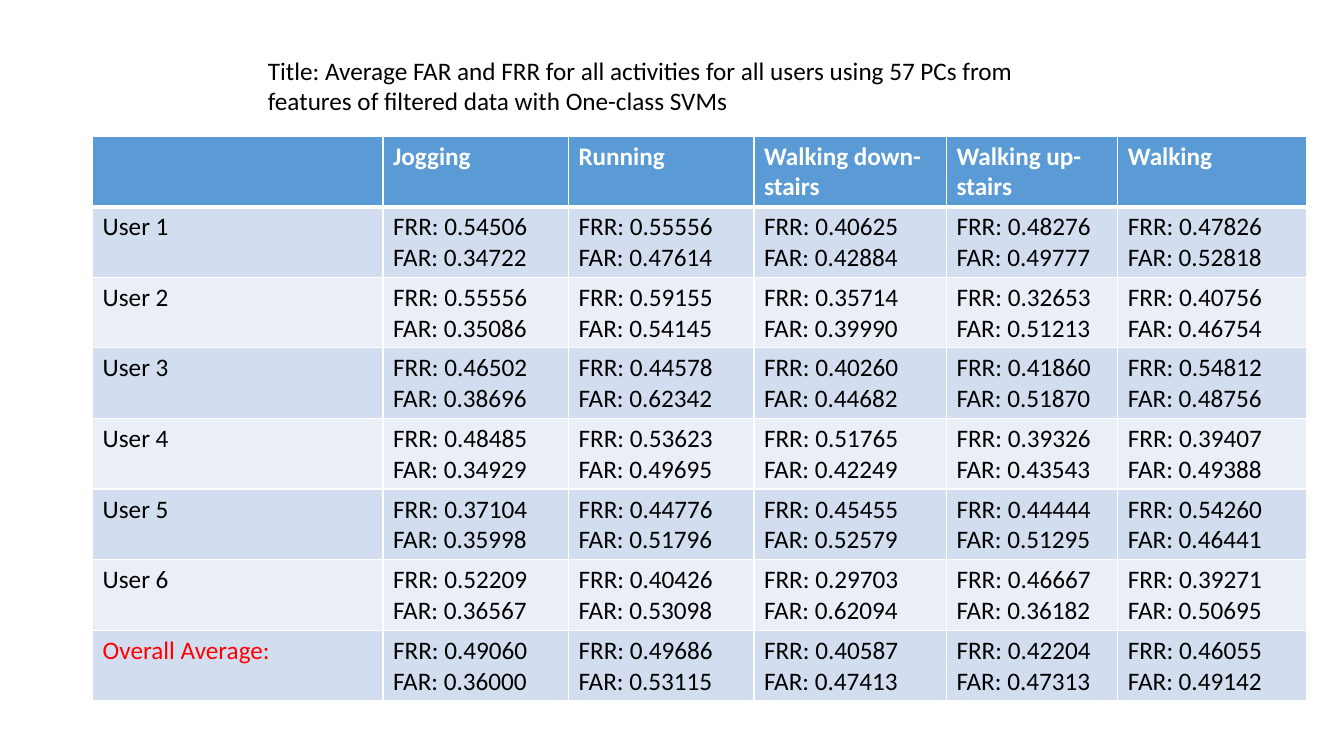
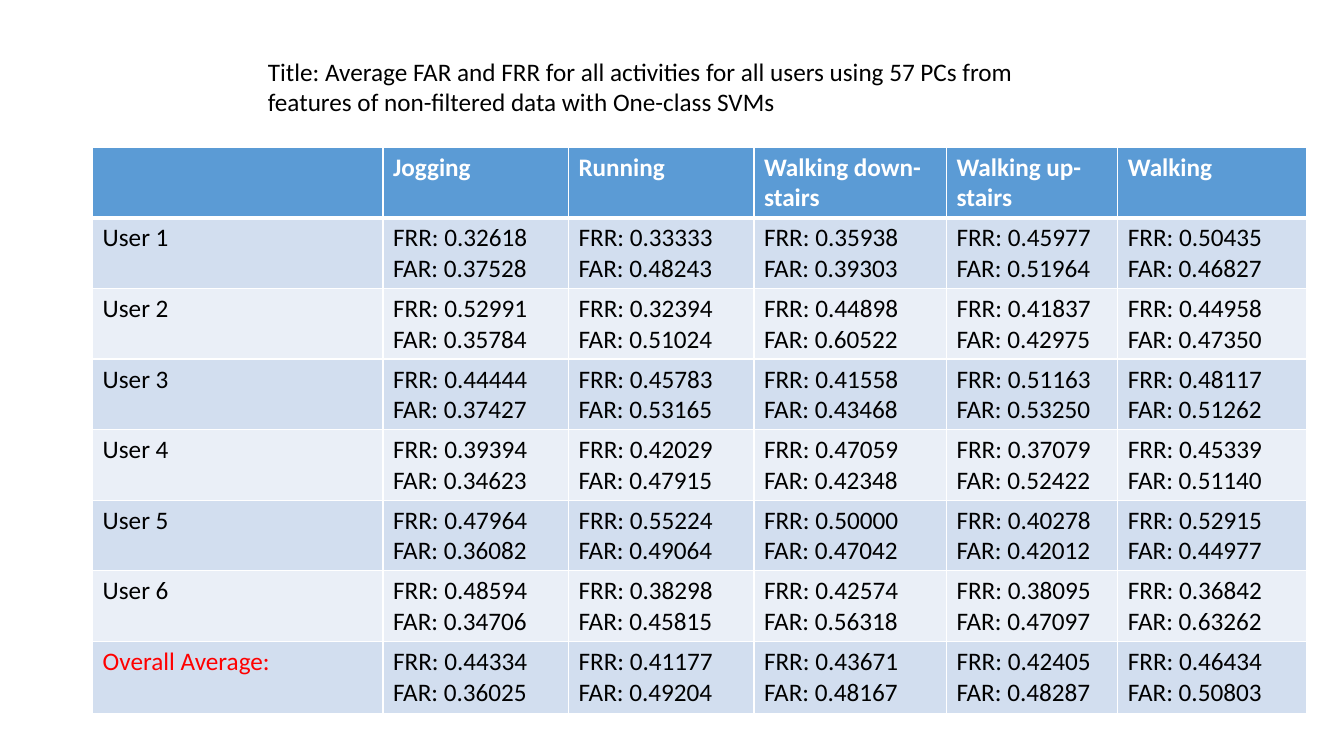
"""Build two slides comparing FRR and FAR per user and activity."""
from dataclasses import dataclass

from pptx import Presentation
from pptx import util as u
from pptx.dml.color import RGBColor
from pptx.enum import text
from pptx.oxml import parse_xml
from pptx.oxml.ns import nsdecls


@dataclass(frozen=True)
class Theme:
    font: str = "Calibri"
    size: int = 18
    ink: str = "000000"
    white: str = "FFFFFF"
    head: str = "5B9BD5"
    bands: tuple = ("EAEFF7", "D2DEEF")
    alert: str = "FF0000"
    thin: int = 1
    thick: int = 3


theme = Theme()


def write(frame, lines, color, bold=False):
    for i, line in enumerate(lines):
        para = frame.paragraphs[0] if i == 0 else frame.add_paragraph()
        run = para.add_run()
        run.text = line
        font = run.font
        font.name, font.size, font.bold = theme.font, u.Pt(theme.size), bold
        font.color.rgb = RGBColor.from_string(color)


def paint(cell, fill, top, bottom):
    props = cell._tc.get_or_add_tcPr()
    for side, width in (("L", theme.thin), ("R", theme.thin), ("T", top), ("B", bottom)):
        props.append(parse_xml(
            f'<a:ln{side} {nsdecls("a")} w="{u.Pt(width)}"><a:solidFill>'
            f'<a:srgbClr val="{theme.white}"/></a:solidFill></a:ln{side}>'))
    cell.fill.solid()
    cell.fill.fore_color.rgb = RGBColor.from_string(fill)


heads = ["", "Jogging", "Running", "Walking down-stairs", "Walking up-stairs", "Walking"]
names = [f"User {n}" for n in range(1, 7)] + ["Overall Average:"]
widths = [207.4, 132.5, 132.5, 137.5, 122.4, 134.6]
left, height = 66.2, 50.4

pages = [
    ("filtered", 36, 97.2, height, """
0.54506/0.34722 0.55556/0.47614 0.40625/0.42884 0.48276/0.49777 0.47826/0.52818
0.55556/0.35086 0.59155/0.54145 0.35714/0.39990 0.32653/0.51213 0.40756/0.46754
0.46502/0.38696 0.44578/0.62342 0.40260/0.44682 0.41860/0.51870 0.54812/0.48756
0.48485/0.34929 0.53623/0.49695 0.51765/0.42249 0.39326/0.43543 0.39407/0.49388
0.37104/0.35998 0.44776/0.51796 0.45455/0.52579 0.44444/0.51295 0.54260/0.46441
0.52209/0.36567 0.40426/0.53098 0.29703/0.62094 0.46667/0.36182 0.39271/0.50695
0.49060/0.36000 0.49686/0.53115 0.40587/0.47413 0.42204/0.47313 0.46055/0.49142"""),
    ("non-filtered", 36.7, 105.1, 51.8, """
0.32618/0.37528 0.33333/0.48243 0.35938/0.39303 0.45977/0.51964 0.50435/0.46827
0.52991/0.35784 0.32394/0.51024 0.44898/0.60522 0.41837/0.42975 0.44958/0.47350
0.44444/0.37427 0.45783/0.53165 0.41558/0.43468 0.51163/0.53250 0.48117/0.51262
0.39394/0.34623 0.42029/0.47915 0.47059/0.42348 0.37079/0.52422 0.45339/0.51140
0.47964/0.36082 0.55224/0.49064 0.50000/0.47042 0.40278/0.42012 0.52915/0.44977
0.48594/0.34706 0.38298/0.45815 0.42574/0.56318 0.38095/0.47097 0.36842/0.63262
0.44334/0.36025 0.41177/0.49204 0.43671/0.48167 0.42405/0.48287 0.46434/0.50803"""),
]

deck = Presentation()
deck.slide_width, deck.slide_height = u.Pt(960), u.Pt(540)

for kind, high, top, last, data in pages:
    slide = deck.slides.add_slide(deck.slide_layouts[6])
    frame = slide.shapes.add_textbox(u.Pt(184.3), u.Pt(high), u.Pt(585.4), u.Pt(51)).text_frame
    frame.word_wrap = True
    frame.auto_size = text.MSO_AUTO_SIZE.SHAPE_TO_FIT_TEXT
    write(frame, ["Title: Average FAR and FRR for all activities for all users using 57 PCs "
                  f"from features of {kind} data with One-class SVMs"], theme.ink)

    rows = [[[head] for head in heads]]
    for name, line in zip(names, data.split("\n")[1:]):
        pairs = [pair.split("/") for pair in line.split()]
        rows.append([[name]] + [[f"FRR: {frr}", f"FAR: {far}"] for frr, far in pairs])
    tall = [height] * (len(rows) - 1) + [last]
    table = slide.shapes.add_table(len(rows), len(heads), u.Pt(left), u.Pt(top),
                                   u.Pt(sum(widths)), u.Pt(sum(tall))).table
    for col, width in zip(table.columns, widths):
        col.width = u.Pt(width)
    for r, row in enumerate(rows):
        table.rows[r].height = u.Pt(tall[r])
        for c, lines in enumerate(row):
            cell = table.cell(r, c)
            first = r == 0
            paint(cell, theme.head if first else theme.bands[r % 2],
                  theme.thick if r == 1 else theme.thin,
                  theme.thick if first else theme.thin)
            color = theme.white if first else theme.ink
            if r == len(names) and c == 0:
                color = theme.alert
            if lines != [""]:
                write(cell.text_frame, lines, color, first)

deck.save("out.pptx")
